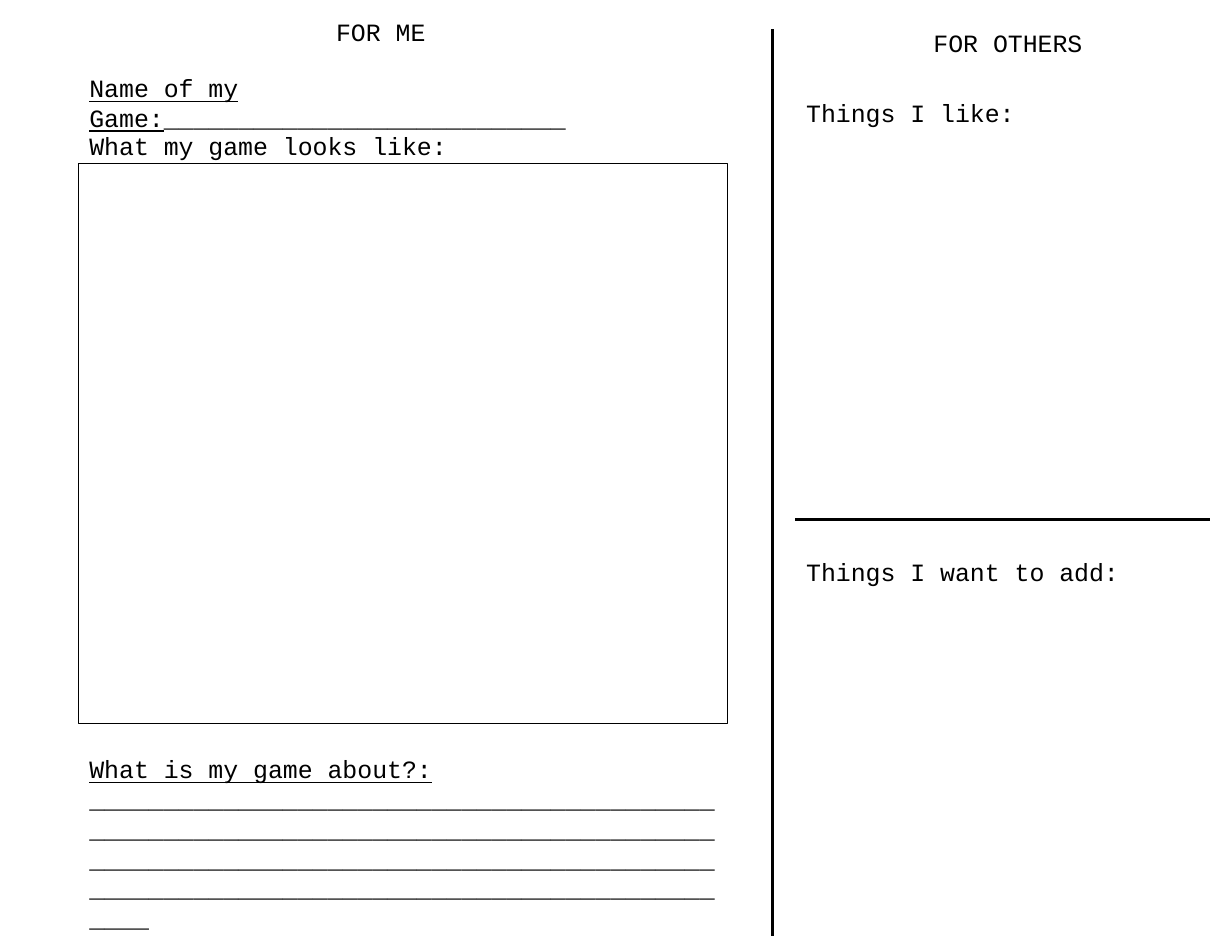
from dataclasses import dataclass

from lxml import etree
from pptx import Presentation
from pptx.dml.color import RGBColor
from pptx.enum.shapes import MSO_CONNECTOR, MSO_SHAPE
from pptx.enum.text import MSO_AUTO_SIZE, PP_ALIGN
from pptx.oxml.ns import qn
from pptx.util import Inches, Pt

STRAIGHT = MSO_CONNECTOR.STRAIGHT
RECTANGLE = MSO_SHAPE.RECTANGLE
GROW = MSO_AUTO_SIZE.SHAPE_TO_FIT_TEXT
LEFT, CENTER = PP_ALIGN.LEFT, PP_ALIGN.CENTER

COLORS = {"ink": "000000", "paper": "FFFFFF"}
FONT = "Courier New"
MINE_LEFT, MINE_WIDTH = 0.7, 5.8
OTHERS_LEFT = 7.1


@dataclass(frozen=True)
class Label:
    text: str
    left: float
    top: float
    width: float
    height: float
    align: PP_ALIGN = LEFT
    wrap: bool = True
    blanks: int = 0


@dataclass(frozen=True)
class Rule:
    x1: float
    y1: float
    x2: float
    y2: float


LABELS = [
    Label("Name of my Game:", MINE_LEFT, 0.6, MINE_WIDTH, 0.61, blanks=27),
    Label("What is my game about?: ", MINE_LEFT, 6.68, MINE_WIDTH, 1.64, blanks=172),
    Label("FOR ME", 0.5, 0.1, MINE_WIDTH, 0.36, align=CENTER),
    Label("FOR OTHERS", OTHERS_LEFT, 0.2, 3.8, 0.38, align=CENTER),
    Label("Things I like:", OTHERS_LEFT, 0.82, 2.07, 0.36, wrap=False),
    Label("Things I want to add:", OTHERS_LEFT, 4.92, 3, 0.38),
    Label("What my game looks like:", MINE_LEFT, 1.12, 3.7, 0.38),
]
RULES = [Rule(6.9, 0.26, 6.9, 8.36), Rule(OTHERS_LEFT, 4.64, 10.8, 4.64)]


def rgb(name: str) -> RGBColor:
    return RGBColor.from_string(COLORS[name])


def add_run(paragraph, text: str, *, size: float = 16, color: str = "ink",
            underline: bool = False) -> None:
    run = paragraph.add_run()
    run.text = text
    run.font.name = FONT
    run.font.size = Pt(size)
    run.font.color.rgb = rgb(color)
    run.font.underline = underline


def style_hairline(line) -> None:
    line.color.rgb = rgb("ink")
    line.width = Pt(0)


def draw_label(slide, label: Label) -> None:
    box = slide.shapes.add_textbox(Inches(label.left), Inches(label.top),
                                   Inches(label.width), Inches(label.height))
    frame = box.text_frame
    frame.word_wrap = label.wrap
    frame.auto_size = GROW
    paragraph = frame.paragraphs[0]
    paragraph.alignment = label.align
    add_run(paragraph, label.text, underline=label.blanks > 0)
    if label.blanks:
        add_run(paragraph, "_" * label.blanks)


def draw_rule(slide, rule: Rule) -> None:
    divider = slide.shapes.add_connector(STRAIGHT, Inches(rule.x1), Inches(rule.y1),
                                         Inches(rule.x2), Inches(rule.y2))
    style_hairline(divider.line)
    etree.SubElement(divider._element.spPr, qn("a:effectLst"))


def draw_sketch_area(slide) -> None:
    area = slide.shapes.add_shape(RECTANGLE, Inches(MINE_LEFT), Inches(1.46),
                                  Inches(MINE_WIDTH), Inches(5))
    area.shadow.inherit = False
    area.fill.background()
    style_hairline(area.line)


def main() -> None:
    deck = Presentation()
    deck.slide_width, deck.slide_height = Inches(11), Inches(8.5)
    slide = deck.slides.add_slide(deck.slide_layouts[6])
    slide.background.fill.solid()
    slide.background.fill.fore_color.rgb = rgb("paper")
    draw_sketch_area(slide)
    for rule in RULES:
        draw_rule(slide, rule)
    for label in LABELS:
        draw_label(slide, label)
    deck.save("out.pptx")


if __name__ == "__main__":
    main()
